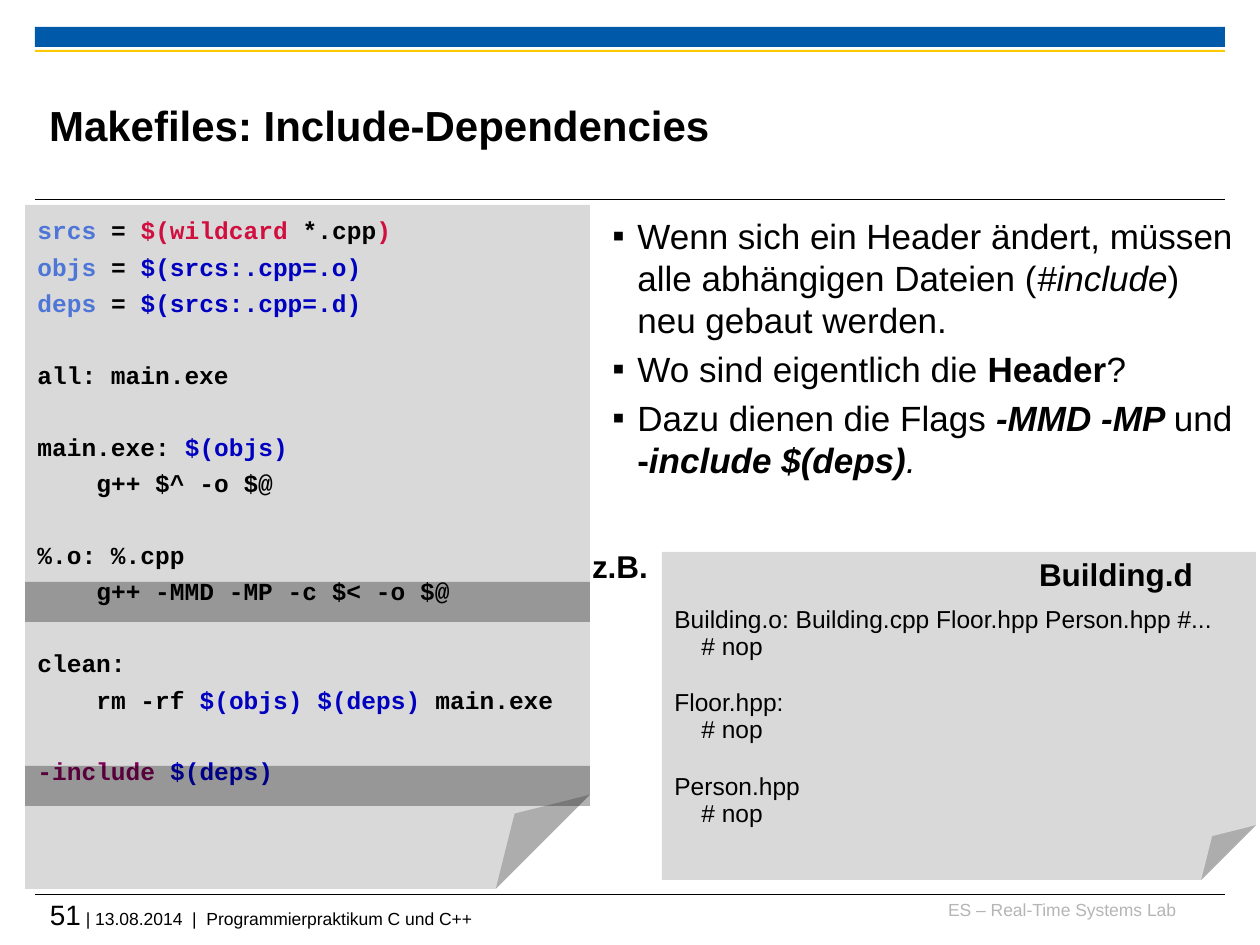
from lxml import etree
from pptx import Presentation, util as u
from pptx.dml.color import RGBColor
from pptx.enum import shapes, text
from pptx.oxml.ns import qn

PX = 914400 // 126
BLACK = RGBColor(0, 0, 0)
BLUE = RGBColor(0x00, 0x5A, 0xA9)
YELLOW = RGBColor(0xFD, 0xCA, 0x00)
PAPER = RGBColor(0xD9, 0xD9, 0xD9)
MUTED = RGBColor(0xB5, 0xB5, 0xB5)
NAME = RGBColor(0x4E, 0x76, 0xD6)
CALL = RGBColor(0xD0, 0x0F, 0x3F)
VARIABLE = RGBColor(0x00, 0x00, 0xC0)
DIRECTIVE = RGBColor(0x7F, 0x00, 0x55)
LEFT, CENTER, RIGHT = text.PP_ALIGN.LEFT, text.PP_ALIGN.CENTER, text.PP_ALIGN.RIGHT
RECTANGLE, FOLDED = shapes.MSO_SHAPE.RECTANGLE, shapes.MSO_SHAPE.FOLDED_CORNER

deck = Presentation()
deck.slide_width, deck.slide_height = u.Inches(10), u.Inches(7.5)
page = deck.slides.add_slide(deck.slide_layouts[5])


def add_box(left, top, width, height, inset=True):
    """Add a wrapping text box and return its text frame."""
    box = page.shapes.add_textbox(left * PX, top * PX, width * PX, height * PX)
    frame = box.text_frame
    frame.word_wrap = True
    if not inset:
        frame.margin_left = frame.margin_right = frame.margin_top = frame.margin_bottom = 0
    return frame


def add_para(frame, spans, size, font="Arial", align=LEFT, spacing=None, before=0):
    """Write (text, colour, style) spans into the next paragraph; style holds b and i."""
    para = frame.paragraphs[0]
    if para.runs:
        para = frame.add_paragraph()
    para.alignment = align
    para.space_before = u.Pt(before)
    if spacing:
        para.line_spacing = spacing
    for words, color, style in spans:
        span = para.add_run()
        span.text = words
        span.font.name = font
        span.font.size = u.Pt(size)
        span.font.color.rgb = color
        span.font.bold = "b" in style
        span.font.italic = "i" in style
    return para


# Rules, bands and paper sheets
for y in (895, 200):
    rule = page.shapes.add_connector(shapes.MSO_CONNECTOR.STRAIGHT, 35 * PX, y * PX, 1225 * PX, y * PX)
    rule.line.color.rgb = BLACK
    rule.line.width = u.Pt(0.6)
    etree.SubElement(rule._element.spPr, qn("a:effectLst"))

for kind, left, top, width, height, color in (
    (RECTANGLE, 35, 27, 1190, 20, BLUE),
    (RECTANGLE, 35, 50, 1190, 2, YELLOW),
    (FOLDED, 25, 205, 565, 684, PAPER),
    (FOLDED, 662, 552, 594, 328, PAPER),
):
    shape = page.shapes.add_shape(kind, left * PX, top * PX, width * PX, height * PX)
    shape.shadow.inherit = False
    shape.fill.solid()
    shape.fill.fore_color.rgb = color
    shape.line.fill.background()

# Title and footer
title = page.shapes.title
title.left, title.top, title.width, title.height = 49 * PX, 67 * PX, 948 * PX, 116 * PX
frame = title.text_frame
frame.margin_left = frame.margin_right = frame.margin_top = frame.margin_bottom = 0
frame.vertical_anchor = text.MSO_ANCHOR.MIDDLE
frame.auto_size = text.MSO_AUTO_SIZE.NONE
add_para(frame, [("Makefiles: Include-Dependencies", BLACK, "b")], 24)

add_para(add_box(928, 899, 248, 32, False),
         [("ES – Real-Time Systems Lab", MUTED, "")], 10, align=RIGHT)
footer = add_para(add_box(50, 898, 1175, 42, False),
                  [("51", BLACK, ""), (" | 13.08.2014  |  Programmierpraktikum C und C++", BLACK, "")], 16)
footer.runs[1].font.size = u.Pt(10)

# Makefile: (gap above, indented, spans)
makefile = [
    (False, False, [("srcs ", NAME), ("= ", BLACK), ("$(wildcard", CALL), (" *.cpp", BLACK), (")", CALL)]),
    (False, False, [("objs ", NAME), ("= ", BLACK), ("$(srcs:.cpp=.o)", VARIABLE)]),
    (False, False, [("deps ", NAME), ("= ", BLACK), ("$(srcs:.cpp=.d)", VARIABLE)]),
    (True, False, [("all: main.exe", BLACK)]),
    (True, False, [("main.exe: ", BLACK), ("$(objs)", VARIABLE)]),
    (False, True, [("g++ $^ -o $@", BLACK)]),
    (True, False, [("%.o: %.cpp", BLACK)]),
    (False, True, [("g++ -MMD -MP -c $< -o $@", BLACK)]),
    (True, False, [("clean:", BLACK)]),
    (False, True, [("rm -rf ", BLACK), ("$(objs) $(deps)", VARIABLE), (" main.exe", BLACK)]),
    (True, False, [("-include ", DIRECTIVE), ("$(deps)", VARIABLE)]),
]
code = add_box(25, 207, 565, 682)
for gap, indented, spans in makefile:
    para = add_para(code, [(words, color, "b") for words, color in spans], 14, "Courier New",
                    spacing=1.07, before=23.1 if gap else 2.8)
    if indented:
        para._p.get_or_add_pPr().set("marL", str(59 * PX))

# Explanation
points = [
    [("Wenn sich ein Header ändert, müssen alle abhängigen Dateien (", ""), ("#include", "i"),
     (") neu gebaut werden.", "")],
    [("Wo sind eigentlich die ", ""), ("Header", "b"), ("?", "")],
    [("Dazu dienen die Flags ", ""), ("-MMD -MP ", "bi"), ("und ", ""), ("-", "b"),
     ("include $(deps)", "bi"), (".", "i")],
]
notes = add_box(600, 208, 646, 330)
for point in points:
    para = add_para(notes, [(words, BLACK, style) for words, style in point], 20, before=4)
    props = para._p.get_or_add_pPr()
    props.set("marL", str(25 * PX))
    props.set("indent", str(-25 * PX))
    etree.SubElement(props, qn("a:buFont")).set("typeface", "Arial")
    etree.SubElement(props, qn("a:buChar")).set("char", "▪")

# Example dependency file
for label, left, top, width in (("Building.d", 1017, 552, 198), ("z.B.", 578, 544, 84)):
    add_para(add_box(left, top, width, 49), [(label, BLACK, "b")], 18, align=CENTER, spacing=0.93)

rules = add_box(662, 600, 585, 233)
for number, target in enumerate(("Building.o: Building.cpp Floor.hpp Person.hpp #...", "Floor.hpp:", "Person.hpp")):
    add_para(rules, [(target, BLACK, "")], 14, spacing=0.93, before=16.5 if number else 0)
    recipe = add_para(rules, [("# nop", BLACK, "")], 14, spacing=0.93)
    recipe._p.get_or_add_pPr().set("marL", str(27 * PX))

# Highlighted lines
for top in (582, 766):
    marker = page.shapes.add_shape(RECTANGLE, 25 * PX, top * PX, 565 * PX, 40 * PX)
    marker.shadow.inherit = False
    marker.fill.solid()
    marker.fill.fore_color.rgb = BLACK
    color = marker._element.spPr.find(qn("a:solidFill"))[0]
    etree.SubElement(color, qn("a:alpha")).set("val", "30000")
    marker.line.fill.background()

deck.save("out.pptx")
